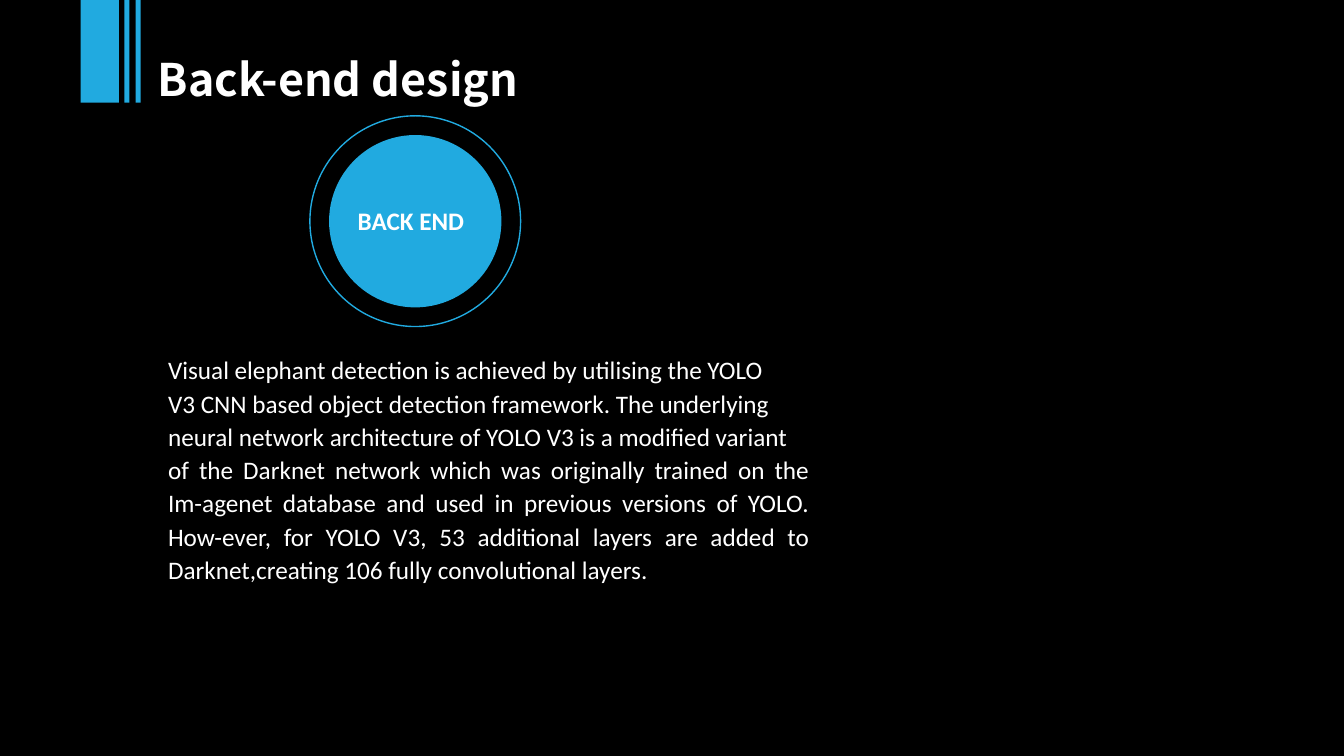
from dataclasses import dataclass

from pptx import Presentation
from pptx.dml.color import RGBColor
from pptx.enum import shapes as shp
from pptx.enum import text as txt
from pptx.util import Pt

COLORS = {"background": "000000", "accent": "21AAE0", "text": "FFFFFF"}


@dataclass
class Stripe:
    left: float
    width: float


@dataclass
class Circle:
    diameter: float
    filled: bool


STRIPES = [Stripe(57.6, 27.4), Stripe(88.9, 3.6), Stripe(96.8, 3.6)]
STRIPE_HEIGHT = 73.4
CIRCLES = [Circle(123.1, True), Circle(150.5, False)]
CENTER_X, CENTER_Y = 296.6, 158
DESCRIPTION = [
    "Visual elephant detection is achieved by utilising the YOLO",
    "V3 CNN based object detection framework. The underlying",
    "neural network architecture of YOLO V3 is a modiﬁed variant",
    "of the Darknet network which was originally trained on the Im-agenet "
    "database and used in previous versions of YOLO. How-ever, for YOLO V3, "
    "53 additional layers are added to Darknet,creating 106 fully "
    "convolutional layers.",
]


def color(name: str) -> RGBColor:
    return RGBColor.from_string(COLORS[name])


def place(shape, left: float, top: float, width: float, height: float) -> None:
    shape.left, shape.top = Pt(left), Pt(top)
    shape.width, shape.height = Pt(width), Pt(height)


def write(shape, paragraphs: list[str], *, size: float = 18, font: str = "Calibri",
          bold: bool = False, align=txt.PP_ALIGN.LEFT, spacing: float = 1.0,
          inset: tuple[float, float] = (7.2, 3.6)) -> None:
    frame = shape.text_frame
    frame.word_wrap = True
    frame.auto_size = txt.MSO_AUTO_SIZE.NONE
    frame.vertical_anchor = txt.MSO_ANCHOR.TOP
    frame.margin_left = frame.margin_right = Pt(inset[0])
    frame.margin_top = frame.margin_bottom = Pt(inset[1])
    for index, content in enumerate(paragraphs):
        paragraph = frame.add_paragraph() if index else frame.paragraphs[0]
        paragraph.alignment = align
        paragraph.line_spacing = spacing
        run = paragraph.add_run()
        run.text = content
        run.font.size, run.font.name, run.font.bold = Pt(size), font, bold
        run.font.color.rgb = color("text")


def draw(slide, kind, left: float, top: float, width: float, height: float,
         filled: bool = True) -> None:
    shape = slide.shapes.add_shape(kind, Pt(left), Pt(top), Pt(width), Pt(height))
    shape.shadow.inherit = False
    if filled:
        shape.fill.solid()
        shape.fill.fore_color.rgb = color("accent")
        shape.line.fill.background()
    else:
        shape.fill.background()
        shape.line.color.rgb = color("accent")
        shape.line.width = Pt(1)


def main() -> None:
    deck = Presentation()
    deck.slide_width, deck.slide_height = Pt(960), Pt(540)
    slide = deck.slides.add_slide(deck.slide_layouts[5])
    slide.background.fill.solid()
    slide.background.fill.fore_color.rgb = color("background")

    # Title
    title = slide.shapes.title
    place(title, 112.6, 29.5, 758.9, 89.3)
    write(title, ["Back-end design"], size=32, font="Noto Sans CJK SC", bold=True,
          spacing=1.2, inset=(0, 0))

    # Description
    description = slide.shapes.add_textbox(Pt(113), Pt(247.7), Pt(472.3), Pt(200.9))
    write(description, DESCRIPTION, align=txt.PP_ALIGN.JUSTIFY, spacing=1.1)

    # Stripes hanging from the top edge
    for stripe in STRIPES:
        draw(slide, shp.MSO_SHAPE.RECTANGLE, stripe.left, 0, stripe.width, STRIPE_HEIGHT)

    # Concentric circles with their label
    for circle in CIRCLES:
        radius = circle.diameter / 2
        draw(slide, shp.MSO_SHAPE.OVAL, CENTER_X - radius, CENTER_Y - radius,
             circle.diameter, circle.diameter, circle.filled)
    circle_label = slide.shapes.add_textbox(Pt(248.4), Pt(143.3), Pt(100.1), Pt(28.8))
    write(circle_label, ["BACK END"], bold=True)

    deck.save("out.pptx")


if __name__ == "__main__":
    main()
